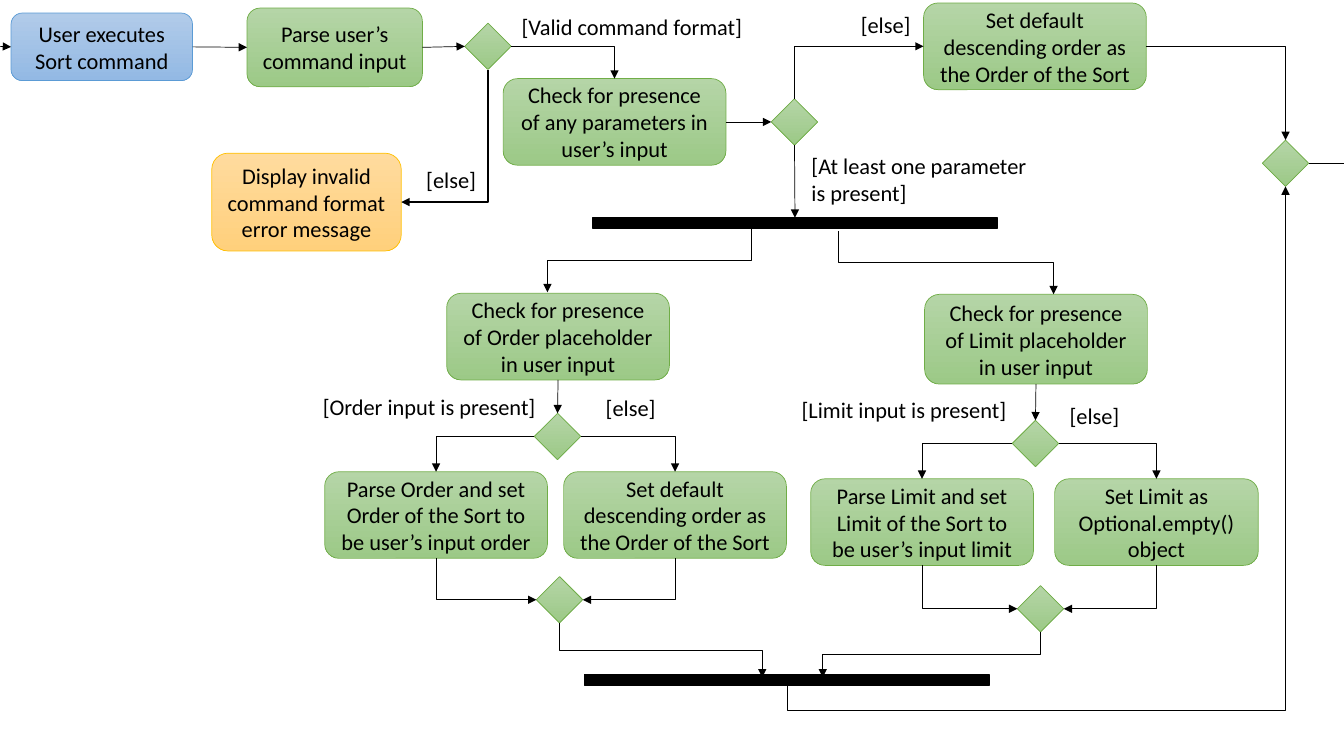
from dataclasses import dataclass

from lxml import etree
from pptx import Presentation
from pptx import util as u
from pptx.dml import color
from pptx.enum import shapes, text
from pptx.oxml import ns


@dataclass(frozen=True)
class Theme:
    font: str = "Calibri"
    size: int = 16
    ink: str = "000000"
    green: tuple = ("B5D5A7", "9CC987", "70AD47")
    blue: tuple = ("B1CBE9", "93B9E4", "5B9BD5")
    amber: tuple = ("FFDB9E", "FFD07C", "FFC000")
    hairline: float = 0.5
    thick: float = 1


SITES = {"top": (0, 0.5, 0), "left": (1, 0, 0.5),
         "bottom": (2, 0.5, 1), "right": (3, 1, 0.5)}
LEFT, CENTER, RIGHT = text.PP_ALIGN.LEFT, text.PP_ALIGN.CENTER, text.PP_ALIGN.RIGHT


class Flowchart:
    def __init__(self, page, theme):
        self.page = page
        self.theme = theme

    def set_words(self, frame, lines, align):
        frame.word_wrap = True
        for index, line in enumerate(lines):
            para = frame.paragraphs[0] if index == 0 else frame.add_paragraph()
            para.text = line
            para.alignment = align
            para.font.name = self.theme.font
            para.font.size = u.Pt(self.theme.size)
            para.font.color.rgb = color.RGBColor.from_string(self.theme.ink)

    def shape(self, kind, place, outline, width):
        box = self.page.shapes.add_shape(kind, *map(u.Inches, place))
        box.shadow.inherit = False
        box.line.color.rgb = color.RGBColor.from_string(outline)
        box.line.width = u.Pt(width)
        return box

    def shaded(self, kind, place, colours):
        light, dark, outline = colours
        box = self.shape(kind, place, outline, self.theme.hairline)
        box.fill.gradient()
        box.fill.gradient_angle = 270
        for stop, shade in zip(box.fill.gradient_stops, (light, dark)):
            stop.color.rgb = color.RGBColor.from_string(shade)
        return box

    def step(self, words, left, top, width=2.21, height=0.86, colours=None):
        box = self.shaded(shapes.MSO_SHAPE.ROUNDED_RECTANGLE,
                          (left, top, width, height), colours or self.theme.green)
        box.text_frame.vertical_anchor = text.MSO_ANCHOR.MIDDLE
        self.set_words(box.text_frame, [words], CENTER)
        return box

    def decision(self, left, top):
        return self.shaded(shapes.MSO_SHAPE.DIAMOND, (left, top, 0.46, 0.46),
                           self.theme.green)

    def bar(self, left, top):
        box = self.shape(shapes.MSO_SHAPE.RECTANGLE, (left, top, 4.01, 0.11),
                         self.theme.ink, self.theme.thick)
        box.fill.solid()
        box.fill.fore_color.rgb = color.RGBColor.from_string(self.theme.ink)
        return box

    def label(self, lines, left, top, width, height=0.37, align=LEFT):
        box = self.page.shapes.add_textbox(*map(u.Inches, (left, top, width, height)))
        self.set_words(box.text_frame, lines, align)

    def point(self, end):
        if isinstance(end[0], (int, float)):
            return u.Inches(end[0]), u.Inches(end[1])
        box, side = end
        across, down = SITES[side][1:]
        return int(box.left + across * box.width), int(box.top + down * box.height)

    def link(self, start, finish, kind="straight", width=None, bend=None, arrow=True):
        (x1, y1), (x2, y2) = self.point(start), self.point(finish)
        style = shapes.MSO_CONNECTOR.STRAIGHT if kind == "straight" else shapes.MSO_CONNECTOR.ELBOW
        line = self.page.shapes.add_connector(style, x1, y1, x2, y2)
        for end, connect in ((start, line.begin_connect), (finish, line.end_connect)):
            if end[1] in SITES:
                connect(end[0], SITES[end[1]][0])
        line.line.color.rgb = color.RGBColor.from_string(self.theme.ink)
        line.line.width = u.Pt(width or self.theme.hairline)
        properties = line._element.spPr
        if arrow:
            outline = properties.find(ns.qn("a:ln"))
            etree.SubElement(outline, ns.qn("a:tailEnd"), type="triangle")
        etree.SubElement(properties, ns.qn("a:effectLst"))
        geometry = properties.find(ns.qn("a:prstGeom"))
        if kind in ("across", "down"):
            geometry.set("prst", "bentConnector2")
        if kind in ("down", "zigzag"):
            self.turn(line, x1, y1, x2, y2)
        if bend is not None:
            guides = geometry.find(ns.qn("a:avLst"))
            etree.SubElement(guides, ns.qn("a:gd"), name="adj1", fmla=f"val {int(bend * 100000)}")

    def turn(self, line, x1, y1, x2, y2):
        width, height = abs(y2 - y1), abs(x2 - x1)
        line.left, line.top = (x1 + x2 - width) // 2, (y1 + y2 - height) // 2
        line.width, line.height = width, height
        rightward, upward = x2 > x1, y2 < y1
        frame = line._element.spPr.find(ns.qn("a:xfrm"))
        frame.set("rot", str((270 if rightward and not upward else 90) * 60000))
        frame.set("flipH", str(int(rightward or upward)))
        frame.set("flipV", str(int(rightward and upward)))


def branch(chart, check, split, merge, yes, no):
    chart.link((check, "bottom"), (split, "top"))
    for side, task in (("left", yes), ("right", no)):
        chart.link((split, side), (task, "top"), "across")
        chart.link((task, "bottom"), (merge, side), "down")


deck = Presentation()
deck.slide_width, deck.slide_height = u.Inches(13.33), u.Inches(7.5)
theme = Theme()
chart = Flowchart(deck.slides.add_slide(deck.slide_layouts[6]), theme)

execute = chart.step("User executes Sort command", 0.11, 0.13, 1.8, 0.67, theme.blue)
parse_command = chart.step("Parse user’s command input", 2.45, 0.08, 1.74, 0.78)
error = chart.step("Display invalid command format error message",
                   2.1, 1.52, 1.88, 0.97, theme.amber)
check_parameters = chart.step("Check for presence of any parameters in user’s input", 4.99, 0.78)
default_words = "Set default descending order as the Order of the Sort"
default_sort = chart.step(default_words, 9.16, 0.03)
check_order = chart.step("Check for presence of Order placeholder in user input", 4.43, 2.91)
check_limit = chart.step("Check for presence of Limit placeholder in user input",
                         9.17, 2.92, height=0.89)
parse_order = chart.step("Parse Order and set Order of the Sort to be user’s input order", 3.22, 4.68)
default_order = chart.step(default_words, 5.59, 4.68)
parse_limit = chart.step("Parse Limit and set Limit of the Sort to be user’s input limit", 8.04, 4.75)
empty_limit = chart.step("Set Limit as Optional.empty() object", 10.46, 4.75, 2.02)

format_split = chart.decision(4.61, 0.23)
parameter_split = chart.decision(7.65, 0.98)
order_split = chart.decision(5.3, 4.1)
order_merge = chart.decision(5.32, 5.72)
limit_split = chart.decision(10.04, 4.17)
limit_merge = chart.decision(10.09, 5.81)
final_merge = chart.decision(12.52, 1.39)
fork = chart.bar(5.88, 2.16)
join = chart.bar(5.8, 6.69)

chart.link((0, 0.46), (execute, "left"))
chart.link((execute, "right"), (parse_command, "left"))
chart.link((parse_command, "right"), (format_split, "left"))
chart.link((format_split, "right"), (check_parameters, "top"), "across")
chart.link((format_split, "bottom"), (error, "right"), "down", theme.thick)
chart.link((check_parameters, "right"), (parameter_split, "left"))
chart.link((parameter_split, "top"), (default_sort, "left"), "down")
chart.link((parameter_split, "bottom"), (fork, "top"))
chart.link((default_sort, "right"), (final_merge, "top"), "across")
chart.link((7.45, 2.27), (5.43, 2.9), "zigzag")
chart.link((8.32, 2.29), (10.45, 2.92), "zigzag")
branch(chart, check_order, order_split, order_merge, parse_order, default_order)
branch(chart, check_limit, limit_split, limit_merge, parse_limit, empty_limit)
chart.link((order_merge, "bottom"), (7.56, 6.72), "zigzag")
chart.link((limit_merge, "bottom"), (8.16, 6.72), "zigzag")
chart.link((join, "bottom"), (final_merge, "bottom"), "zigzag", bend=-0.05)
chart.link((final_merge, "right"), (13.33, 1.62), arrow=False)

chart.label(["[Valid command format]"], 4.79, 0.08, 2.67, align=RIGHT)
chart.label(["[else]"], 3.65, 1.6, 1.17, align=RIGHT)
chart.label(["[else]"], 6.1, 0.06, 3.03, align=RIGHT)
chart.label(["[At least one parameter", "is present]"], 7.95, 1.46, 2.94, 0.64)
chart.label(["[Order input is present]"], 2.17, 3.85, 3.24, align=RIGHT)
chart.label(["[else]"], 5.91, 3.86, 0.97)
chart.label(["[Limit input is present]"], 7.65, 3.88, 2.43, align=RIGHT)
chart.label(["[else]"], 10.51, 3.94, 1.75)

deck.save("out.pptx")
